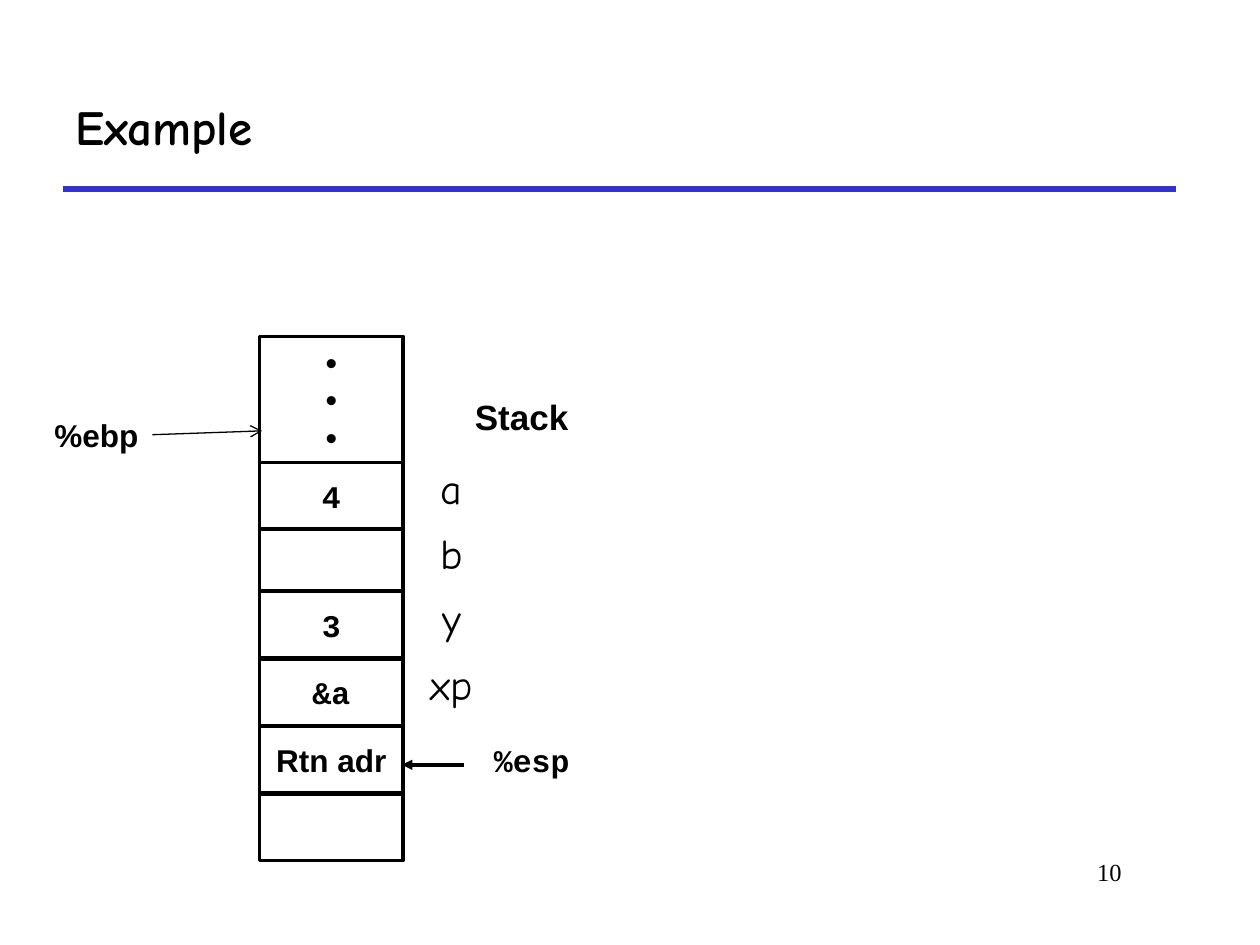
from dataclasses import dataclass

from lxml.etree import SubElement
from pptx import Presentation
from pptx.dml.color import RGBColor
from pptx.enum.shapes import MSO_CONNECTOR, MSO_SHAPE
from pptx.enum.text import MSO_ANCHOR, PP_ALIGN
from pptx.oxml.ns import qn
from pptx.util import Inches, Pt

BLACK = RGBColor(0, 0, 0)
WHITE = RGBColor(255, 255, 255)
BLUE = RGBColor(0x33, 0x33, 0xCC)
SANS, MONO, HAND, SERIF = "Arial", "Courier New", "Comic Neue", "Times New Roman"

BOX_LEFT, BOX_WIDTH, BOX_HEIGHT = 2.06, 1.14, 0.53
FRAME_TOP, FRAME_PITCH = 4.16, 0.535


@dataclass
class Box:
    text: str
    top: float
    height: float = BOX_HEIGHT
    font: str = MONO


@dataclass
class Label:
    text: str
    left: float
    top: float
    width: float
    height: float
    size: int = 18
    font: str = SANS
    bold: bool = True
    align: PP_ALIGN = PP_ALIGN.CENTER
    wrap: bool = False


@dataclass
class Line:
    start: tuple[float, float]
    end: tuple[float, float]
    width: float
    color: RGBColor = BLACK
    head: str = ""


def write(tf, text: str, size: int, font: str, bold: bool = True,
          align: PP_ALIGN = PP_ALIGN.CENTER) -> None:
    tf.text = text
    style = {"size": Pt(size), "name": font, "bold": bold}
    for p in tf.paragraphs:
        p.alignment = align
        for r in p.runs:
            for name, value in style.items():
                setattr(r.font, name, value)
            r.font.color.rgb = BLACK


def draw_box(slide, box: Box) -> None:
    sp = slide.shapes.add_shape(
        MSO_SHAPE.RECTANGLE, Inches(BOX_LEFT), Inches(box.top),
        Inches(BOX_WIDTH), Inches(box.height))
    sp.shadow.inherit = False
    sp.fill.solid()
    sp.fill.fore_color.rgb = WHITE
    sp.line.color.rgb = BLACK
    sp.line.width = Pt(2)
    if box.text:
        tf = sp.text_frame
        tf.word_wrap = False
        tf.vertical_anchor = MSO_ANCHOR.MIDDLE
        write(tf, box.text, 18, box.font)


def draw_label(slide, label: Label) -> None:
    sp = slide.shapes.add_textbox(
        Inches(label.left), Inches(label.top),
        Inches(label.width), Inches(label.height))
    sp.text_frame.word_wrap = label.wrap
    write(sp.text_frame, label.text, label.size, label.font, label.bold, label.align)


def draw_line(slide, line: Line) -> None:
    ends = [Inches(v) for v in (*line.start, *line.end)]
    cxn = slide.shapes.add_connector(MSO_CONNECTOR.STRAIGHT, *ends)
    cxn.line.color.rgb = line.color
    cxn.line.width = Pt(line.width)
    if line.head:
        SubElement(cxn.line._get_or_add_ln(), qn("a:tailEnd"), type=line.head)
    SubElement(cxn._element.spPr, qn("a:effectLst"))


def draw_names(slide, names: list[str]) -> None:
    row_height = 0.52
    table = slide.shapes.add_table(
        len(names), 1, Inches(3.25), Inches(3.65),
        Inches(0.67), Inches(row_height * len(names))).table
    table.first_row = table.horz_banding = False
    for row, name in zip(table.rows, names):
        row.height = Inches(row_height)
        cell = row.cells[0]
        cell.fill.solid()
        cell.fill.fore_color.rgb = WHITE
        write(cell.text_frame, name, 24, HAND, bold=False)


def main() -> None:
    prs = Presentation()
    prs.slide_width, prs.slide_height = Inches(10), Inches(7.5)
    slide = prs.slides.add_slide(prs.slide_layouts[5])

    # Title, rule and page number
    draw_line(slide, Line((0.5, 1.5), (9.33, 1.5), 3, BLUE))
    draw_label(slide, Label("10", 7.58, 6.75, 1.42, 0.5, 14, SERIF,
                            bold=False, align=PP_ALIGN.RIGHT, wrap=True))
    title = slide.shapes.title
    place = {"left": 0.5, "top": 0.5, "width": 8.83, "height": 1}
    for name, value in place.items():
        setattr(title, name, Inches(value))
    title.text_frame.vertical_anchor = MSO_ANCHOR.MIDDLE
    write(title.text_frame, "Example", 28, HAND, align=PP_ALIGN.LEFT)

    # Stack, with the caller's part on top of the frame
    frame = [("", MONO), ("3", MONO), ("&a", MONO), ("Rtn adr", SANS), ("", MONO)]
    boxes = [Box(text, FRAME_TOP + i * FRAME_PITCH, font=font)
             for i, (text, font) in enumerate(frame)]
    boxes += [Box("•\n•\n•", 2.67, 1, SANS), Box("4", 3.67)]
    for box in boxes:
        draw_box(slide, box)

    # Variable names beside the stack
    draw_names(slide, ["a", "b", "y", "xp"])

    # Heading and register pointers
    for label in (Label("Stack", 3.67, 3.09, 0.94, 0.44, 20),
                  Label("%esp", 3.82, 5.83, 0.8, 0.4, font=MONO),
                  Label("%ebp", 0.33, 3.25, 0.87, 0.4, wrap=True)):
        draw_label(slide, label)
    for line in (Line((3.68, 6.07), (3.19, 6.07), 2, head="triangle"),
                 Line((1.21, 3.45), (2.08, 3.42), 0.75, head="arrow")):
        draw_line(slide, line)

    prs.save("out.pptx")


if __name__ == "__main__":
    main()
